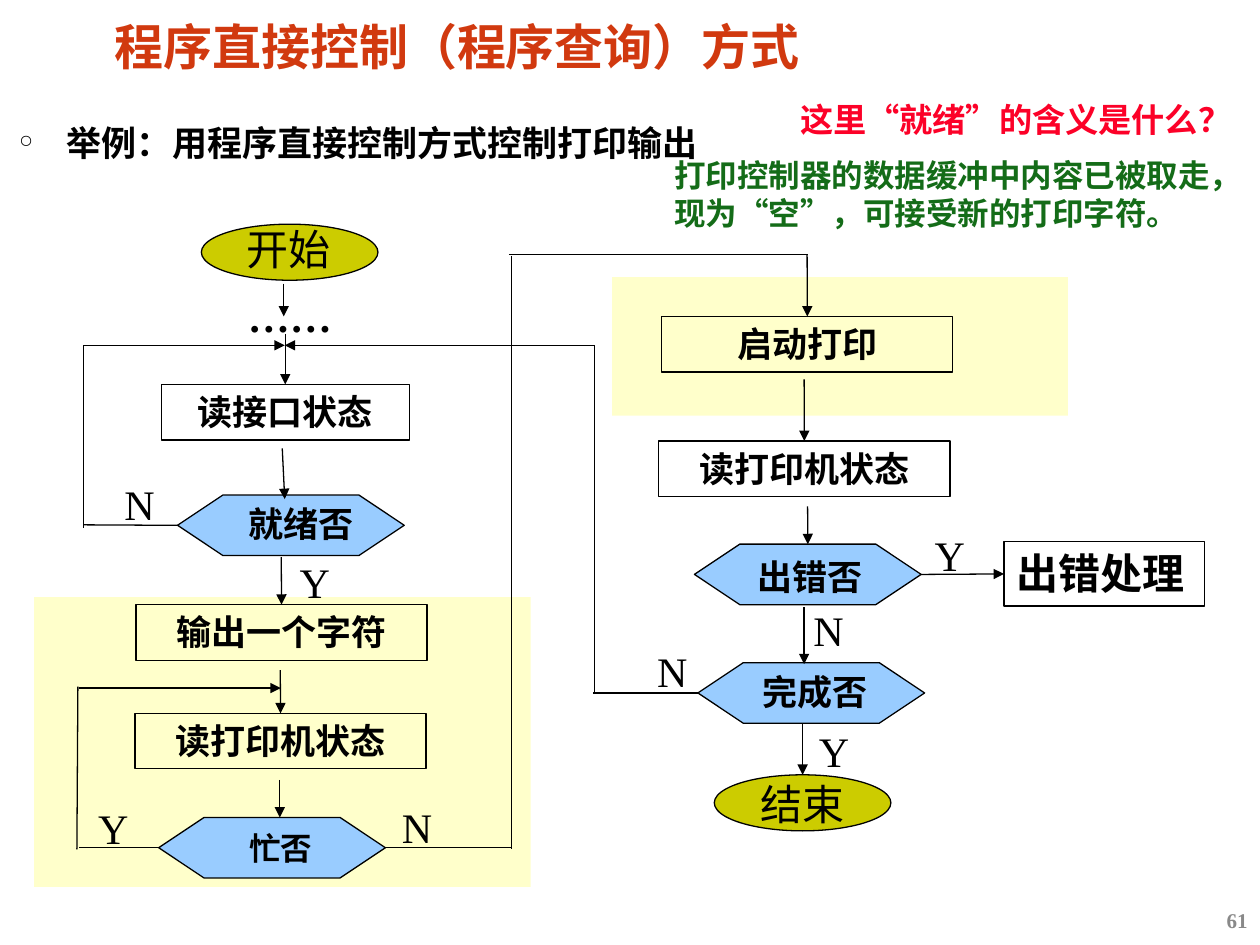
import pptx
import pptx.util
import pptx.dml.color
import pptx.enum.shapes
import pptx.enum.text
import pptx.oxml
import pptx.oxml.ns
from lxml import etree

Cm, Pt = pptx.util.Cm, pptx.util.Pt
RGB = pptx.dml.color.RGBColor
Kind = pptx.enum.shapes.MSO_SHAPE
Align = pptx.enum.text.PP_ALIGN
Anchor = pptx.enum.text.MSO_ANCHOR
qn = pptx.oxml.ns.qn

BLACK = RGB(0x00, 0x00, 0x00)
CREAM = RGB(0xFF, 0xFF, 0x99)
OLIVE = RGB(0xCC, 0xCC, 0x00)
BLUE = RGB(0x99, 0xCC, 0xFF)
RUST = RGB(0xD1, 0x39, 0x0F)
RED = RGB(0xFC, 0x01, 0x28)
GREEN = RGB(0x14, 0x6C, 0x18)
GRAY = RGB(0x89, 0x89, 0x89)
SERIF, SANS, HAN = "Times New Roman", "Arial", "Noto Sans CJK SC"

PANELS = [(12.34, 5.59, 9.19, 2.79), (0.69, 12.04, 10.01, 5.84)]

# look: preset, fill, width, height
LOOKS = {
    "oval": (Kind.OVAL, OLIVE, 3.56, 1.13),
    "box": (Kind.RECTANGLE, None, 5.87, 1.12),
    "test": (Kind.FLOWCHART_PREPARATION, BLUE, 4.57, 1.22),
}
# key: look, left, top
NODES = {
    "start": ("oval", 4.06, 4.52),
    "port": ("box", 3.25, 7.75),
    "ready": ("test", 3.58, 9.98),
    "send": ("box", 2.74, 12.19),
    "poll": ("box", 2.72, 14.38),
    "busy": ("test", 3.2, 16.48),
    "print": ("box", 13.34, 6.38),
    "check": ("box", 13.28, 8.89),
    "fault": ("test", 14.0, 10.97),
    "done": ("test", 14.07, 13.36),
    "end": ("oval", 14.4, 15.62),
    "fix": ("box", 20.24, 10.92),
}
SIZES = {"port": (5.0, 1.12), "fix": (4.04, 1.3)}
WORDS = {"port": "读接口状态", "send": "输出一个字符", "poll": "读打印机状态",
         "print": "启动打印", "check": "读打印机状态", "fix": "出错处理"}

# text, place, font values
TITLE = ("程序直接控制（程序查询）方式", (2.13, 0.41, 18.44, 1.17),
         dict(size=Pt(28), name=HAN, bold=True), RUST)
TOPIC = ("举例：用程序直接控制方式控制打印输出", (0.2, 2.21, 22.76, 1.14),
         dict(size=Pt(20), name=SANS, bold=True), BLACK)
NOTES = [
    ("这里“就绪”的含义是什么？", (15.88, 1.88, 9.52, 1.07),
     dict(size=Pt(19), name=SANS, bold=True), RED),
    ("打印控制器的数据缓冲中内容已被取走，现为“空”，可接受新的打印字符。",
     (13.34, 3.02, 12.06, 1.8), dict(size=Pt(18), name=SANS, bold=True), GREEN),
]
# text, left, top, width, points
TESTS = [("就绪否", 4.52, 10.01, 3.1, 20), ("忙否", 4.11, 16.59, 3.1, 18),
         ("出错否", 14.66, 11.07, 3.33, 20), ("完成否", 14.88, 13.39, 3.1, 20)]
# text, left, top, width, bold
TAGS = [("开始", 4.72, 4.39, 3.48, False), ("结束", 15.09, 15.57, 3.48, False),
        ("……", 4.75, 5.74, 3.02, True)]
TAGS += [(word, x, y, 1.5, False) for word, x, y in [
    ("N", 2.26, 9.53), ("Y", 5.79, 11.1), ("N", 7.85, 16.03), ("Y", 1.73, 16.05),
    ("Y", 18.59, 10.54), ("N", 16.15, 12.07), ("N", 13.0, 12.88), ("Y", 16.26, 14.5)]]

# An end is a point, or a node with the number of its side
TOP, LEFT, RIGHT = 0, 1, 3
ARROWS = [
    ((5.72, 5.72), (5.72, 6.38)), ((5.75, 6.73), ("port", TOP)),
    ((5.69, 9.04), (5.74, 10.06)), ((5.67, 11.23), ("send", TOP)),
    ((5.65, 13.51), ("poll", TOP)), ((5.64, 15.72), (5.64, 16.48)),
    ((16.27, 5.13), ("print", TOP)), ((16.21, 7.65), ("check", TOP)),
    ((16.28, 10.21), ("fault", TOP)), ((16.21, 12.24), (16.21, 13.39)),
    ((16.18, 14.6), ("end", TOP)), (("fault", RIGHT), ("fix", LEFT)),
    ((1.68, 6.96), (5.74, 6.96)), ((11.99, 6.96), (5.74, 6.96)),
    ((1.6, 13.87), (5.66, 13.87)),
]
LINES = [
    (("ready", LEFT), (1.68, 10.58)), ((1.68, 6.96), (1.68, 10.64)),
    (("busy", LEFT), (1.6, 17.09)), ((1.57, 13.84), (1.55, 17.12)),
    (("busy", RIGHT), (10.31, 17.09)), ((10.31, 5.16), (10.31, 17.12)),
    ((10.26, 5.13), (16.28, 5.13)),
    (("done", LEFT), (11.96, 13.97)), ((11.99, 6.96), (11.99, 14.0)),
]

deck = pptx.Presentation()
deck.slide_width, deck.slide_height = Cm(25.4), Cm(19.05)
slide = deck.slides.add_slide(deck.slide_layouts[6])
shapes = slide.shapes


def write(shape, text, font, color=BLACK, align=Align.LEFT):
    frame = shape.text_frame
    frame.word_wrap = True
    frame.vertical_anchor = Anchor.TOP
    para = frame.paragraphs[0]
    para.alignment = align
    run = para.add_run()
    run.text = text
    for name, value in font.items():
        setattr(run.font, name, value)
    run.font.color.rgb = color
    return para


def label(text, place, font, color=BLACK, align=Align.LEFT):
    box = shapes.add_textbox(*map(Cm, place))
    return box.text_frame, write(box, text, font, color, align)


def draw(kind, place, fill, edge):
    shape = shapes.add_shape(kind, *map(Cm, place))
    shape.shadow.inherit = False
    if fill is None:
        shape.fill.background()
    else:
        shape.fill.solid()
        shape.fill.fore_color.rgb = fill
    if edge:
        shape.line.color.rgb = BLACK
        shape.line.width = Pt(0.75)
    else:
        shape.line.fill.background()
    return shape


def wire(start, stop, arrow):
    """Draw a straight line, joined to a node at each end that names one."""
    free = [(0, 0) if isinstance(e[0], str) else e for e in (start, stop)]
    line = shapes.add_connector(pptx.enum.shapes.MSO_CONNECTOR.STRAIGHT,
                                *map(Cm, free[0] + free[1]))
    for spot, join in ((start, line.begin_connect), (stop, line.end_connect)):
        if isinstance(spot[0], str):
            join(made[spot[0]], spot[1])
    line.line.color.rgb = BLACK
    line.line.width = Pt(0.75)
    if arrow:
        etree.SubElement(line.line._get_or_add_ln(), qn("a:tailEnd"), type="triangle")
    etree.SubElement(line._element.spPr, qn("a:effectLst"))


for place in PANELS:
    panel = draw(Kind.RECTANGLE, place, CREAM, False)
    tint = panel._element.spPr.find(".//" + qn("a:srgbClr"))
    etree.SubElement(tint, qn("a:alpha"), val="50000")

made = {}
for key, (look, x, y) in NODES.items():
    kind, fill, *size = LOOKS[look]
    made[key] = draw(kind, (x, y, *SIZES.get(key, size)), fill, True)
    if key in WORDS:
        big = key == "fix"
        write(made[key], WORDS[key], dict(size=Pt(24 if big else 20), name=SERIF, bold=True),
              align=Align.LEFT if big else Align.CENTER)

for ends, arrow in ((ARROWS, True), (LINES, False)):
    for start, stop in ends:
        wire(start, stop, arrow)

for text, x, y, w, size in TESTS:
    label(text, (x, y, w, 1.09), dict(size=Pt(size), name=SERIF, bold=True),
          align=Align.CENTER)
for text, x, y, w, bold in TAGS:
    label(text, (x, y, w, 1.27), dict(size=Pt(24), name=SERIF, bold=bold))
for note in NOTES:
    label(*note)

for head, space in ((TITLE, 0.87), (TOPIC, 1.2)):
    frame, para = label(*head)
    para.line_spacing = space
    frame.margin_left = frame.margin_right = Cm(0.18)
    frame.margin_top = frame.margin_bottom = Cm(0.08)
props = para._p.get_or_add_pPr()
props.set("marL", str(Cm(0.97)))
props.set("indent", str(-Cm(0.97)))
etree.SubElement(props, qn("a:buChar"), char="°")

frame, para = label("61", (19.68, 18.03, 5.72, 1.02),
                    dict(size=Pt(12), name=SERIF, bold=True), GRAY, Align.RIGHT)
frame.vertical_anchor = Anchor.MIDDLE

deck.save("out.pptx")
